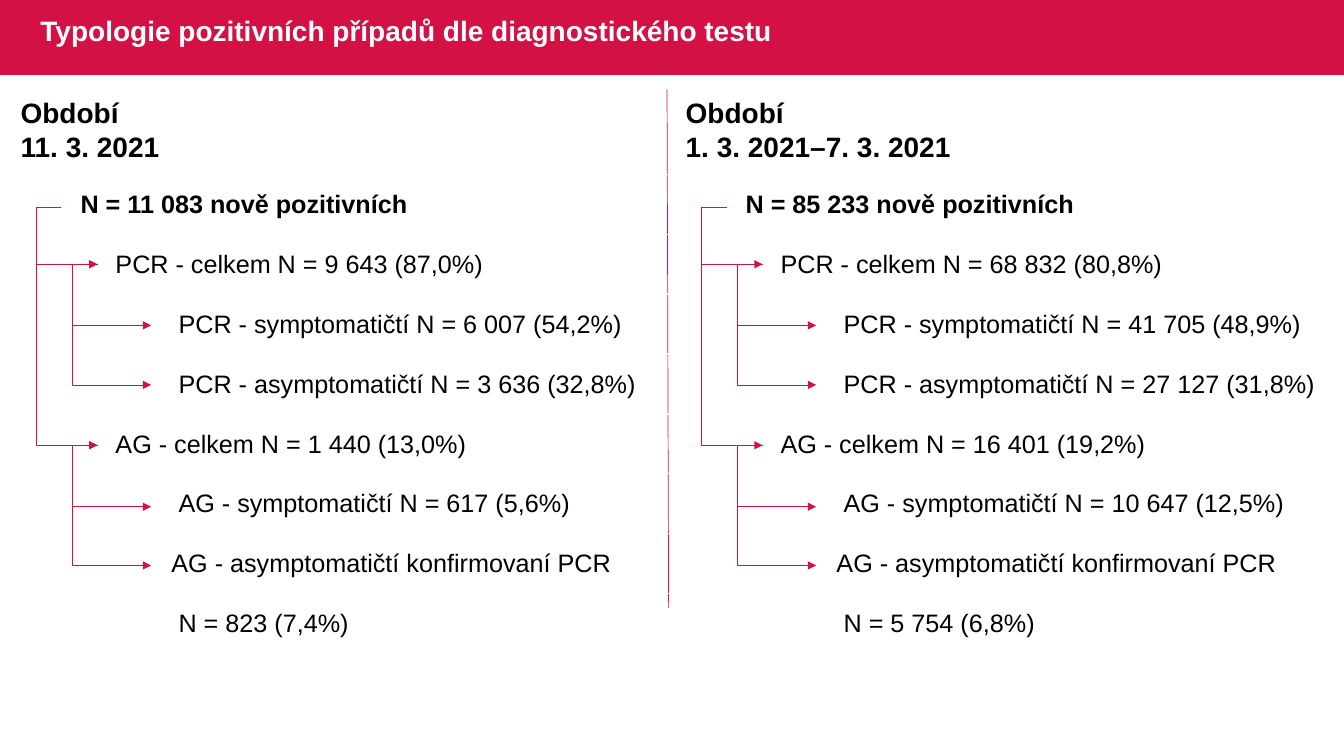
from lxml.etree import SubElement
from pptx import Presentation
from pptx.dml.color import RGBColor
from pptx.enum.shapes import MSO_CONNECTOR, MSO_SHAPE
from pptx.enum.text import MSO_ANCHOR, MSO_AUTO_SIZE, PP_ALIGN
from pptx.oxml.ns import qn
from pptx.util import Cm, Pt

COLORS = {"crimson": "D31145", "black": "000000", "white": "FFFFFF"}
HEADING = {"name": "Arial", "size": Pt(20), "bold": True}
TOTAL = {"name": "Arial", "size": Pt(18), "bold": True}
DETAIL = {"name": "Arial", "size": Pt(18), "bold": False}
CELL = {"margin_right": Cm(0.02), "margin_top": Cm(0.02),
        "margin_bottom": Cm(0), "vertical_anchor": MSO_ANCHOR.MIDDLE}


def write(paragraph, text, font_format, color):
    paragraph.text = text
    paragraph.alignment = PP_ALIGN.LEFT
    for attribute, value in font_format.items():
        setattr(paragraph.font, attribute, value)
    paragraph.font.color.rgb = RGBColor.from_string(COLORS[color])


def draw_line(kind, x1, y1, x2, y2):
    line = slide.shapes.add_connector(kind, Cm(x1), Cm(y1), Cm(x2), Cm(y2))
    line.line.width = Pt(0.5)
    line.line.color.rgb = RGBColor.from_string(COLORS["crimson"])
    SubElement(line._element.spPr, qn("a:effectLst"))
    return line


presentation = Presentation()
presentation.slide_width, presentation.slide_height = Cm(33.87), Cm(19.05)
slide = presentation.slides.add_slide(presentation.slide_layouts[6])

# Header band and title
band = slide.shapes.add_shape(MSO_SHAPE.RECTANGLE, 0, 0, Cm(33.87), Cm(1.89))
band.shadow.inherit = False
band.fill.solid()
band.fill.fore_color.rgb = RGBColor.from_string(COLORS["crimson"])
band.line.fill.background()

title = slide.shapes.add_textbox(Cm(0.77), Cm(0.02), Cm(19.5), Cm(1.6)).text_frame
title.word_wrap = True
title.vertical_anchor = MSO_ANCHOR.MIDDLE
write(title.paragraphs[0], "Typologie pozitivních případů dle diagnostického testu",
      HEADING, "white")
title.paragraphs[0].line_spacing = 0.9

# Divider between the periods
draw_line(MSO_CONNECTOR.STRAIGHT, 16.81, 2.25, 16.85, 15.32)

# Case groups: label and indent in cm
groups = [
    ("N = {} nově pozitivních", 0),
    ("PCR - celkem N = {}", 0.88),
    ("PCR - symptomatičtí N = {}", 2.47),
    ("PCR - asymptomatičtí N = {}", 2.47),
    ("AG - celkem N = {}", 0.88),
    ("AG - symptomatičtí N = {}", 2.47),
    ("AG - asymptomatičtí konfirmovaní PCR", 2.29),
    ("N = {}", 2.47),
]
# Each period: offset, dates, width of the dates, counts by group
periods = [
    (0, "11. 3. 2021", 4.04,
     ["11 083", "9 643 (87,0%)", "6 007 (54,2%)", "3 636 (32,8%)",
      "1 440 (13,0%)", "617 (5,6%)", "", "823 (7,4%)"]),
    (16.76, "1. 3. 2021–7. 3. 2021", 7.24,
     ["85 233", "68 832 (80,8%)", "41 705 (48,9%)", "27 127 (31,8%)",
      "16 401 (19,2%)", "10 647 (12,5%)", "", "5 754 (6,8%)"]),
]
# Branches of the tree: start x, start y, end x, end y
TOTAL_Y, PCR_Y, AG_Y = 5.23, 6.66, 11.22
branches = [
    (1.55, TOTAL_Y, 2.46, AG_Y),
    (2.46, PCR_Y, 3.81, 8.2),
    (2.46, PCR_Y, 3.81, 9.7),
    (2.46, AG_Y, 3.81, 12.77),
    (2.46, AG_Y, 3.81, 14.25),
    (1.55, TOTAL_Y, 2.46, PCR_Y),
]
BEND = 0.63  # distance of each bend to the left of its start

for offset, dates, dates_width, counts in periods:
    # Counts
    table = slide.shapes.add_table(len(groups), 1, Cm(2.01 + offset), Cm(4.39),
                                   Cm(15.27), Cm(1.51 * len(groups))).table
    table.first_row = table.horz_banding = False
    for row, ((label, indent), count) in enumerate(zip(groups, counts)):
        cell = table.cell(row, 0)
        cell.fill.background()
        for attribute, value in CELL.items():
            setattr(cell, attribute, value)
        cell.margin_left = Cm(0.02 + indent)
        write(cell.text_frame.paragraphs[0], label.format(count),
              DETAIL if row else TOTAL, "black")

    # Period heading
    period = slide.shapes.add_textbox(Cm(0.27 + offset), Cm(2.29),
                                      Cm(dates_width), Cm(1.96)).text_frame
    period.word_wrap = False
    period.auto_size = MSO_AUTO_SIZE.SHAPE_TO_FIT_TEXT
    write(period.paragraphs[0], "Období", HEADING, "black")
    write(period.add_paragraph(), dates, HEADING, "black")

    # Tree arrows
    for x1, y1, x2, y2 in branches:
        branch = draw_line(MSO_CONNECTOR.ELBOW, x1 + offset, y1, x2 + offset, y2)
        SubElement(branch.line._get_or_add_ln(), qn("a:tailEnd"), type="triangle")
        bend = round(-BEND / (x2 - x1) * 100000)
        adjustments = branch._element.spPr.find(qn("a:prstGeom")).find(qn("a:avLst"))
        SubElement(adjustments, qn("a:gd"), name="adj1", fmla=f"val {bend}")

presentation.save("out.pptx")
